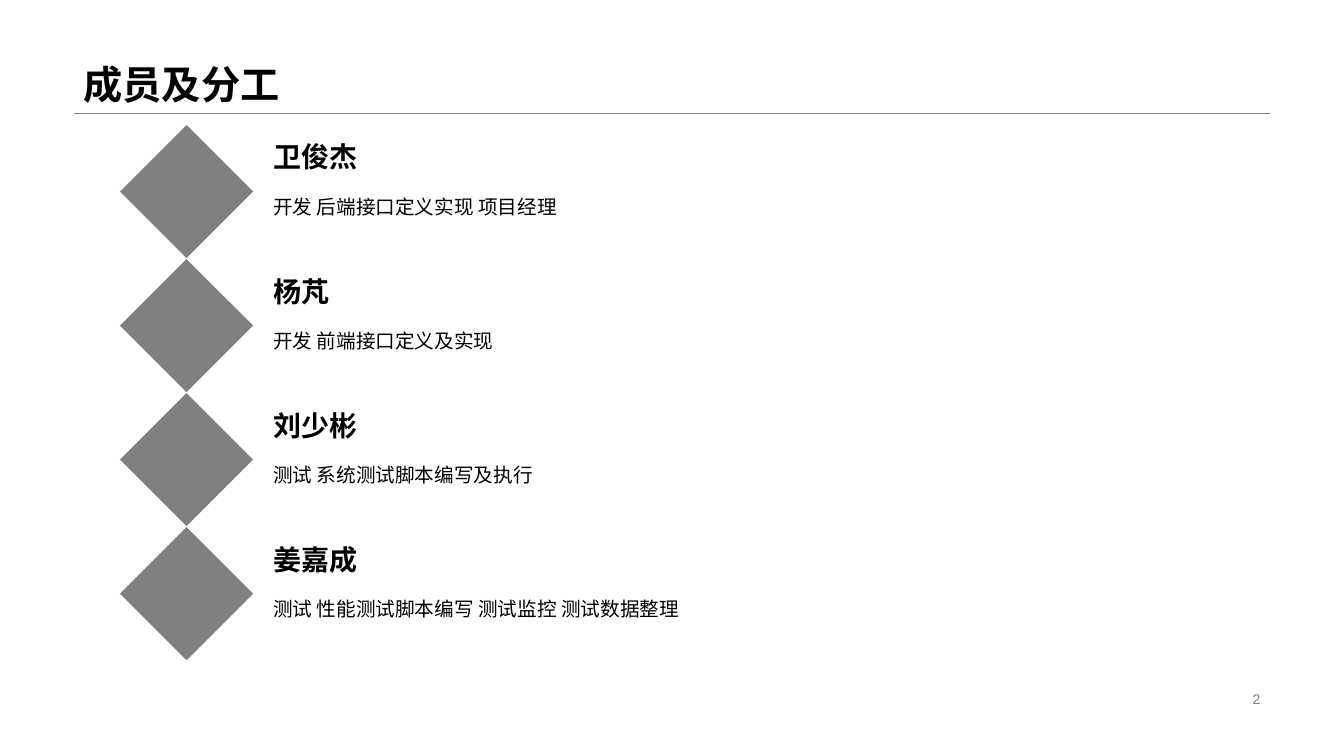
from lxml import etree
from pptx import Presentation
from pptx.dml.color import RGBColor
from pptx.enum import shapes, text
from pptx.oxml.ns import qn
from pptx.util import Inches, Pt

COLORS = {"gray": "808080", "black": "000000"}
FONT = "Arial"
MEMBERS = [
    ("卫俊杰", "开发 后端接口定义实现 项目经理", 4.21),
    ("杨芃", "开发 前端接口定义及实现", 4.21),
    ("刘少彬", "测试 系统测试脚本编写及执行", 4.21),
    ("姜嘉成", "测试 性能测试脚本编写 测试监控 测试数据整理", 4.52),
]
TOP, PITCH, DIAMOND = 1.24, 1.33, 1.32


def write(sp, words, size, color="black", bold=False, anchor="MIDDLE", align="LEFT", spacing=1.0):
    tf = sp.text_frame
    tf.word_wrap = True
    tf.auto_size = text.MSO_AUTO_SIZE.NONE
    tf.vertical_anchor = text.MSO_ANCHOR[anchor]
    p = tf.paragraphs[0]
    p.alignment = text.PP_ALIGN[align]
    p.line_spacing = spacing
    r = p.add_run()
    r.text = words
    r.font.name = FONT
    r.font.size = Pt(size)
    r.font.bold = bold
    r.font.color.rgb = RGBColor.from_string(COLORS[color])


def add_text(left, top, width, height, words, size, **style):
    sp = s.shapes.add_textbox(Inches(left), Inches(top), Inches(width), Inches(height))
    write(sp, words, size, **style)


prs = Presentation()
prs.slide_width, prs.slide_height = Inches(13.33), Inches(7.5)
s = prs.slides.add_slide(prs.slide_layouts[5])

# Title and rule
title = s.shapes.title
title.left, title.top, title.width, title.height = Inches(0.73), Inches(0), Inches(11.87), Inches(1.12)
write(title, "成员及分工", 28, bold=True, anchor="BOTTOM", spacing=0.9)
rule = s.shapes.add_connector(
    shapes.MSO_CONNECTOR.STRAIGHT, Inches(0.73), Inches(1.12), Inches(12.6), Inches(1.12))
rule.line.color.rgb = RGBColor.from_string(COLORS["gray"])
rule.line.width = Pt(0.25)
etree.SubElement(rule._element.spPr, qn("a:effectLst"))

# Members: diamond, name, duties
for i, (name, duties, width) in enumerate(MEMBERS):
    top = TOP + i * PITCH
    sp = s.shapes.add_shape(
        shapes.MSO_SHAPE.DIAMOND, Inches(1.19), Inches(top), Inches(DIAMOND), Inches(DIAMOND))
    sp.shadow.inherit = False
    sp.fill.solid()
    sp.fill.fore_color.rgb = RGBColor.from_string(COLORS["gray"])
    sp.line.fill.background()
    add_text(2.61, top + 0.1, 4.21, 0.43, name, 20, bold=True)
    add_text(2.61, top + 0.53, width, 0.68, duties, 14, anchor="TOP", spacing=1.5)

# Page number
add_text(9.42, 6.82, 3.18, 0.23, "2", 10, color="gray", align="RIGHT")

prs.save("out.pptx")
